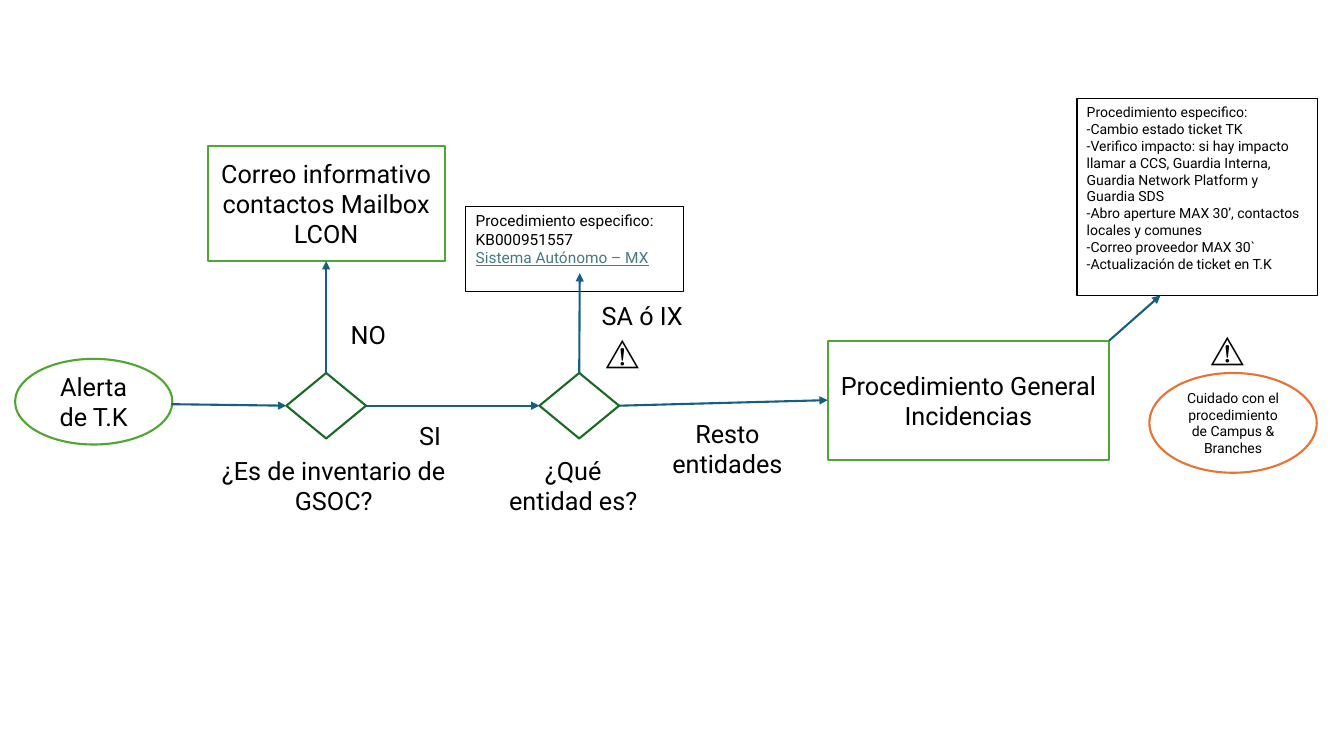
from dataclasses import dataclass

from lxml.etree import SubElement
from pptx import Presentation
from pptx.dml.color import RGBColor
from pptx.enum.shapes import MSO_CONNECTOR, MSO_SHAPE
from pptx.enum.text import MSO_ANCHOR, PP_ALIGN
from pptx.oxml.ns import qn
from pptx.util import Inches, Pt


@dataclass(frozen=True)
class Theme:
    font: str = "Roboto"
    text: RGBColor = RGBColor.from_string("000000")
    paper: RGBColor = RGBColor.from_string("FFFFFF")
    step: RGBColor = RGBColor.from_string("4EA72E")
    decision: RGBColor = RGBColor.from_string("196B24")
    arrow: RGBColor = RGBColor.from_string("156082")
    caution: RGBColor = RGBColor.from_string("E97132")
    link: RGBColor = RGBColor.from_string("467886")
    warning_size: int = 24
    body_size: int = 18
    reference_size: int = 11
    detail_size: int = 10
    outline: float = 1.5


theme = Theme()
presentation = Presentation()
presentation.slide_width = Inches(13.33)
presentation.slide_height = Inches(7.5)
slide = presentation.slides.add_slide(presentation.slide_layouts[6])


def write_text(shape, lines, size, alignment, anchor):
    frame = shape.text_frame
    frame.word_wrap = True
    frame.vertical_anchor = anchor
    frame.text = "\n".join(lines)
    for paragraph in frame.paragraphs:
        paragraph.alignment = alignment
        paragraph.font.name = theme.font
        paragraph.font.size = Pt(size)
        paragraph.font.color.rgb = theme.text


def add_box(kind, bounds, line_color, line_width=theme.outline, filled=True):
    shape = slide.shapes.add_shape(kind, *map(Inches, bounds))
    shape.shadow.inherit = False
    if filled:
        shape.fill.solid()
        shape.fill.fore_color.rgb = theme.paper
    else:
        shape.fill.background()
    shape.line.color.rgb = line_color
    shape.line.width = Pt(line_width)
    return shape


steps = {}
for name, kind, bounds, color, text, size in [
    ("alert", MSO_SHAPE.OVAL, (0.15, 3.56, 1.56, 0.85), theme.step,
     "Alerta de T.K", theme.body_size),
    ("mail", MSO_SHAPE.RECTANGLE, (2.06, 1.45, 2.35, 1.14), theme.step,
     "Correo informativo contactos Mailbox LCON", theme.body_size),
    ("general", MSO_SHAPE.RECTANGLE, (8.21, 3.38, 2.79, 1.18), theme.step,
     "Procedimiento General Incidencias", theme.body_size),
    ("caution", MSO_SHAPE.OVAL, (11.4, 3.7, 1.66, 0.99), theme.caution,
     "Cuidado con el procedimiento de Campus & Branches", theme.detail_size),
]:
    steps[name] = add_box(kind, bounds, color)
    write_text(steps[name], [text], size, PP_ALIGN.CENTER, MSO_ANCHOR.MIDDLE)

for name, left in [("inventory", 2.84), ("entity", 5.35)]:
    steps[name] = add_box(MSO_SHAPE.FLOWCHART_DECISION, (left, 3.7, 0.79, 0.65), theme.decision)

reference_lines = ["Procedimiento especifico:", "KB000951557", "Sistema Autónomo – MX"]
detail_lines = [
    "Procedimiento especifico:",
    "-Cambio estado ticket TK",
    "-Verifico impacto: si hay impacto llamar a CCS, Guardia Interna, Guardia Network Platform y Guardia SDS",
    "-Abro aperture MAX 30’, contactos locales y comunes",
    "-Correo proveedor MAX 30`",
    "-Actualización de ticket en T.K",
]
for name, bounds, lines, size, line_width in [
    ("reference", (4.62, 2.05, 2.16, 0.84), reference_lines, theme.reference_size, 0.75),
    ("detail", (10.68, 0.98, 2.39, 1.95), detail_lines, theme.detail_size, 1),
]:
    steps[name] = add_box(MSO_SHAPE.RECTANGLE, bounds, theme.text, line_width, filled=False)
    write_text(steps[name], lines, size, PP_ALIGN.LEFT, MSO_ANCHOR.TOP)

link_font = steps["reference"].text_frame.paragraphs[-1].font
link_font.color.rgb = theme.link
link_font.underline = True

for bounds, text, size, alignment in [
    ((2, 4.47, 2.62, 0.71), "¿Es de inventario de GSOC?", theme.body_size, PP_ALIGN.CENTER),
    ((4.88, 4.47, 1.61, 0.71), "¿Qué entidad es?", theme.body_size, PP_ALIGN.CENTER),
    ((6.41, 4.1, 1.61, 0.71), "Resto entidades", theme.body_size, PP_ALIGN.CENTER),
    ((3.38, 3.12, 1.27, 0.4), "NO", theme.body_size, PP_ALIGN.LEFT),
    ((4.06, 4.12, 1.27, 0.4), "SI", theme.body_size, PP_ALIGN.LEFT),
    ((5.87, 2.93, 1.23, 0.4), "SA ó IX", theme.body_size, PP_ALIGN.LEFT),
    ((5.91, 3.24, 0.87, 0.5), "⚠️", theme.warning_size, PP_ALIGN.LEFT),
    ((11.91, 3.21, 0.87, 0.5), "⚠️", theme.warning_size, PP_ALIGN.LEFT),
]:
    label = slide.shapes.add_textbox(*map(Inches, bounds))
    write_text(label, [text], size, alignment, MSO_ANCHOR.TOP)

top, left, right = 0, 1, 3
for start, end, source, target in [
    ((1.7, 4.01), (2.84, 4.03), None, ("inventory", left)),
    ((3.23, 3.7), (3.23, 2.59), ("inventory", top), ("mail", 2)),
    ((3.63, 4.03), (5.35, 4.03), ("inventory", right), ("entity", left)),
    ((5.75, 3.7), (5.75, 2.71), ("entity", top), None),
    ((6.14, 4.03), (8.21, 4.03), ("entity", right), ("general", left)),
    ((11, 3.38), (11.51, 2.93), None, None),
]:
    arrow = slide.shapes.add_connector(MSO_CONNECTOR.STRAIGHT, *map(Inches, start + end))
    if source:
        arrow.begin_connect(steps[source[0]], source[1])
    if target:
        arrow.end_connect(steps[target[0]], target[1])
    arrow.line.color.rgb = theme.arrow
    arrow.line.width = Pt(theme.outline)
    SubElement(arrow.line._get_or_add_ln(), qn("a:tailEnd"), type="triangle")
    SubElement(arrow._element.spPr, qn("a:effectLst"))

presentation.save("out.pptx")
